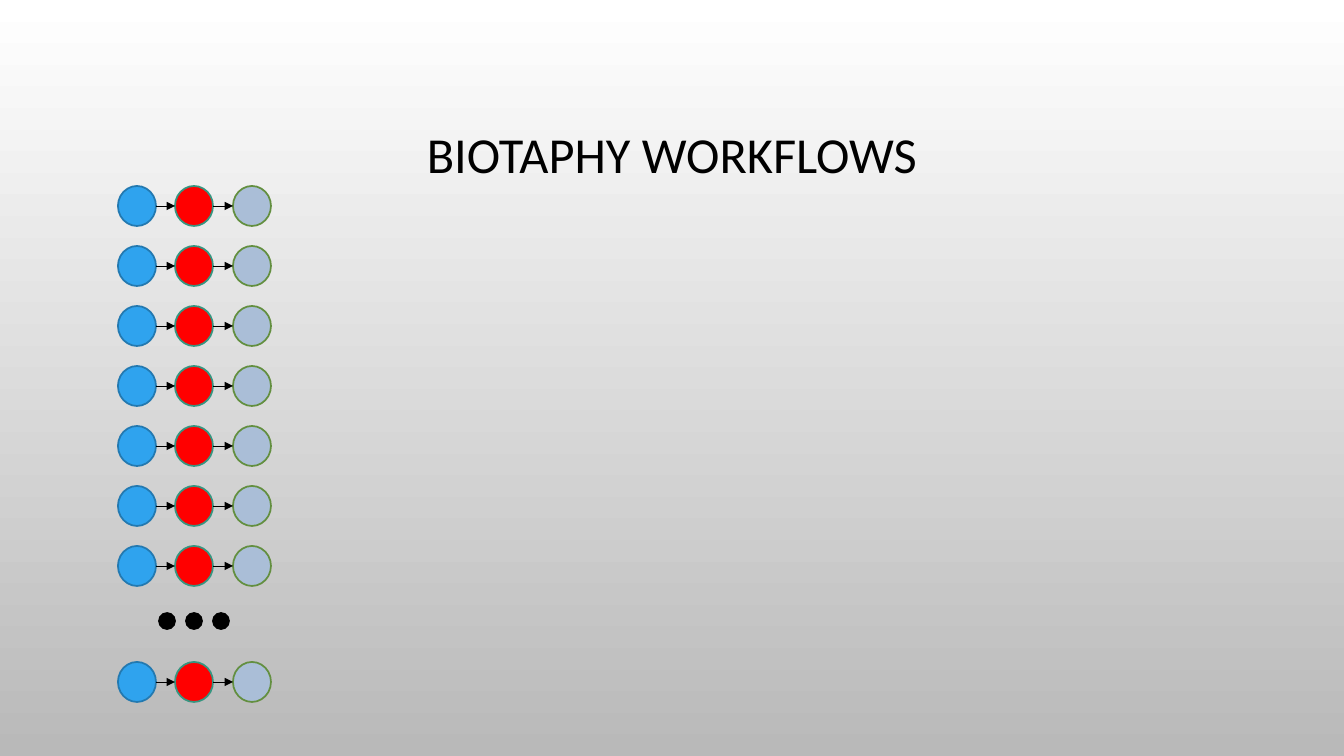
from lxml.etree import SubElement
from pptx import Presentation
from pptx.dml.color import RGBColor
from pptx.enum.shapes import MSO_CONNECTOR, MSO_SHAPE
from pptx.enum.text import MSO_ANCHOR, PP_ALIGN
from pptx.oxml.ns import qn
from pptx.util import Pt

EMU_PER_PX = 914400 / 100.8

# Fill and outline of the three steps in each workflow
STEP_COLORS = [("2FA3EE", "2379B0"), ("FF0000", "379580"), ("AABED7", "638F40")]
STEP_LEFTS = [118, 175, 233]
STEP_WIDTH, STEP_HEIGHT = 38, 40
WORKFLOW_TOPS = [186 + 60 * row for row in range(7)] + [662]


def px(length):
    return round(length * EMU_PER_PX)


def color(hex_string):
    return RGBColor.from_string(hex_string)


def paint_background(slide, top_color, bottom_color):
    fill = slide.background.fill
    fill.gradient()
    fill.gradient_angle = 270
    for stop, shade in zip(fill.gradient_stops, (top_color, bottom_color)):
        stop.color.rgb = color(shade)


def add_title(slide, wording):
    title = slide.shapes.title
    title.left, title.top, title.width, title.height = map(px, (101, 69, 1142, 176))
    title.text_frame.vertical_anchor = MSO_ANCHOR.MIDDLE
    paragraph = title.text_frame.paragraphs[0]
    paragraph.alignment = PP_ALIGN.CENTER
    paragraph.line_spacing = 0.9
    run = paragraph.add_run()
    run.text = wording
    run.font.name = "Calibri"
    run.font.size = Pt(36)
    run.font.color.rgb = color("000000")


def add_circle(slide, left, top, width, height, fill, outline):
    circle = slide.shapes.add_shape(
        MSO_SHAPE.OVAL, px(left), px(top), px(width), px(height))
    circle.shadow.inherit = False
    circle.fill.solid()
    circle.fill.fore_color.rgb = color(fill)
    circle.line.color.rgb = color(outline)
    circle.line.width = Pt(1.25)


def add_arrow(slide, start, end, y):
    arrow = slide.shapes.add_connector(
        MSO_CONNECTOR.STRAIGHT, px(start), px(y), px(end), px(y))
    arrow.line.color.rgb = color("000000")
    arrow.line.width = Pt(0.25)
    SubElement(arrow.line._get_or_add_ln(), qn("a:tailEnd"), type="triangle")
    SubElement(arrow._element.spPr, qn("a:effectLst"))


def add_workflow(slide, top):
    for left, (fill, outline) in zip(STEP_LEFTS, STEP_COLORS):
        add_circle(slide, left, top, STEP_WIDTH, STEP_HEIGHT, fill, outline)
    for left, next_left in zip(STEP_LEFTS, STEP_LEFTS[1:]):
        add_arrow(slide, left + STEP_WIDTH, next_left, top + STEP_HEIGHT // 2)


def main():
    presentation = Presentation()
    presentation.slide_width, presentation.slide_height = px(1344), px(756)
    slide = presentation.slides.add_slide(presentation.slide_layouts[5])

    paint_background(slide, "FFFFFF", "B9B9B9")
    add_title(slide, "BIOTAPHY WORKFLOWS")

    # Stacked workflows
    for top in WORKFLOW_TOPS:
        add_workflow(slide, top)

    # Ellipsis before the last workflow
    for dot in range(3):
        add_circle(slide, 159 + 27 * dot, 613, 16, 16, "000000", "000000")

    presentation.save("out.pptx")


if __name__ == "__main__":
    main()
